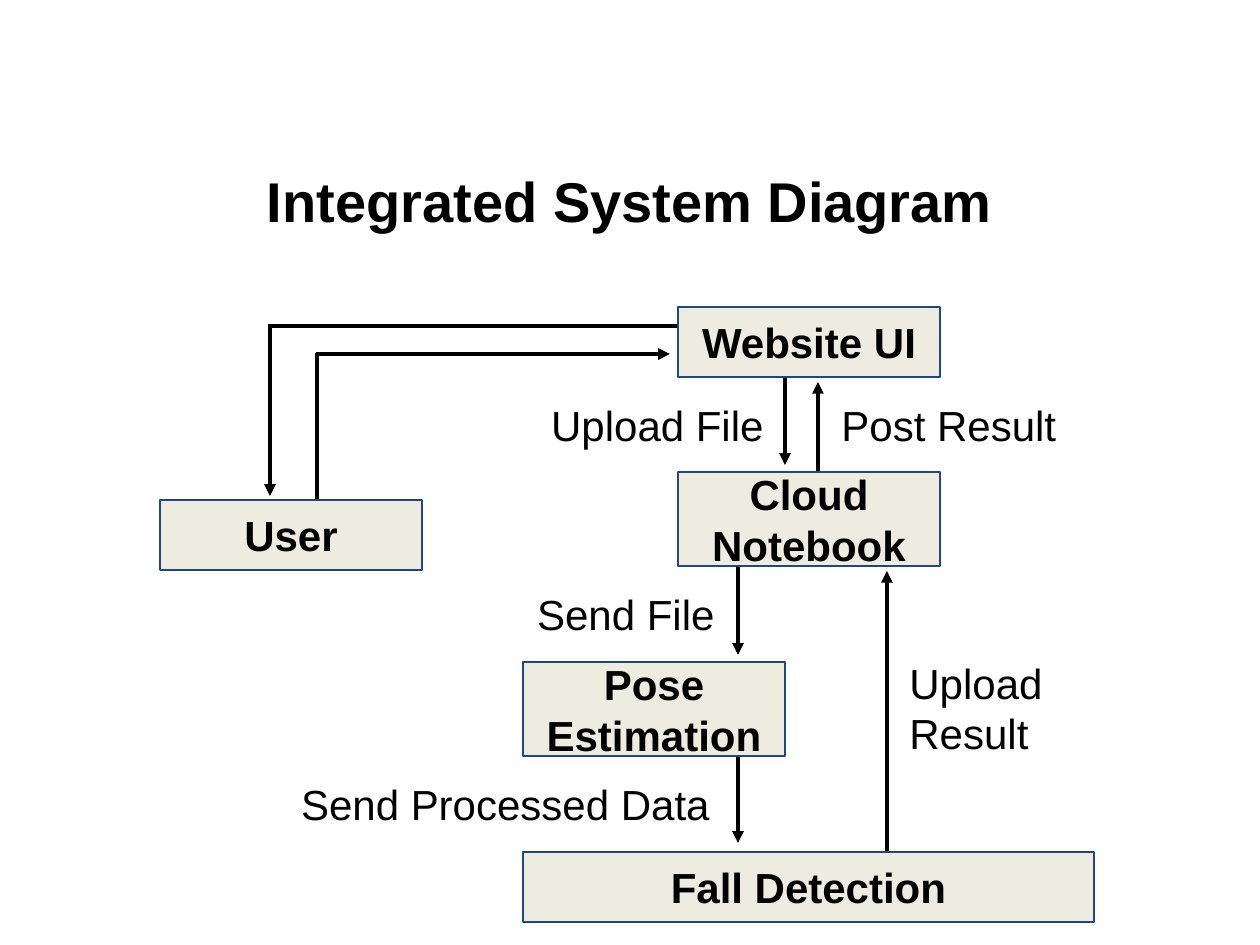
from lxml import etree
from pptx import Presentation, util as u
from pptx.dml.color import RGBColor
from pptx.enum import shapes, text
from pptx.oxml.ns import qn

PX = 914400 / 126
BLACK, CREAM, NAVY = "000000", "EEECE1", "1F497D"


def px(*lengths):
    """Turn px lengths into EMU."""
    return [u.Emu(round(n * PX)) for n in lengths]


def write(sp, words, size, bold, align, inset):
    """Set the text, margins and type of a shape."""
    tf = sp.text_frame
    tf.word_wrap = True
    tf.margin_left = tf.margin_right = u.Inches(0.1)
    tf.margin_top = tf.margin_bottom = u.Inches(inset)
    tf.text = words
    p = tf.paragraphs[0]
    p.alignment = align
    font = p.runs[0].font
    font.name, font.size, font.bold = "Arial", u.Pt(size), bold
    font.color.rgb = RGBColor.from_string(BLACK)


prs = Presentation()
prs.slide_width, prs.slide_height = px(1260, 945)
s = prs.slides.add_slide(prs.slide_layouts[5])
LEFT, CENTER, RIGHT = text.PP_ALIGN.LEFT, text.PP_ALIGN.CENTER, text.PP_ALIGN.RIGHT

title = s.shapes.title
title.left, title.top, title.width, title.height = px(63, 145, 1134, 111)
write(title, "Integrated System Diagram", 32, True, CENTER, 0.05)
title.text_frame.vertical_anchor = text.MSO_ANCHOR.MIDDLE

# Connectors: x1, y1, x2, y2, arrowhead at the end
connectors = [
    (317, 524, 317, 353, False),  # User up to the corner
    (316, 354, 670, 354, True),   # corner to Website UI
    (748, 326, 268, 326, False),  # Website UI to the corner
    (270, 327, 270, 496, True),   # corner down to User
    (785, 346, 785, 465, True),
    (818, 500, 818, 382, True),
    (738, 537, 738, 655, True),
    (738, 724, 738, 843, True),
    (887, 866, 887, 571, True),
]
for x1, y1, x2, y2, arrow in connectors:
    c = s.shapes.add_connector(shapes.MSO_CONNECTOR.STRAIGHT, *px(x1, y1, x2, y2))
    c.line.color.rgb = RGBColor.from_string(BLACK)
    c.line.width = u.Pt(2.25)
    if arrow:
        etree.SubElement(c.line._get_or_add_ln(), qn("a:tailEnd"), type="triangle")
    etree.SubElement(c._element.spPr, qn("a:effectLst"))

boxes = [
    ("Website UI", 678, 307, 262, 70),
    ("User", 160, 500, 262, 70),
    ("Cloud Notebook", 678, 472, 262, 94),
    ("Pose Estimation", 523, 662, 262, 94),
    ("Fall Detection", 523, 852, 571, 70),
]
for words, *place in boxes:
    sp = s.shapes.add_shape(shapes.MSO_SHAPE.RECTANGLE, *px(*place))
    sp.shadow.inherit = False
    sp.fill.solid()
    sp.fill.fore_color.rgb = RGBColor.from_string(CREAM)
    sp.line.color.rgb = RGBColor.from_string(NAVY)
    sp.line.width = u.Pt(0.75)
    write(sp, words, 24, True, CENTER, 0.1)
    sp.text_frame.vertical_anchor = text.MSO_ANCHOR.MIDDLE

labels = [
    ("Upload File", 485, 387, 291, 77, RIGHT),
    ("Post Result", 829, 387, 272, 77, LEFT),
    ("Send File", 523, 576, 204, 77, RIGHT),
    ("Upload Result", 897, 645, 272, 127, LEFT),
    ("Send Processed Data", 223, 766, 499, 77, RIGHT),
]
for words, x, y, w, h, align in labels:
    sp = s.shapes.add_textbox(*px(x, y, w, h))
    write(sp, words, 24, False, align, 0.1)
    sp.text_frame.auto_size = text.MSO_AUTO_SIZE.SHAPE_TO_FIT_TEXT

prs.save("out.pptx")
